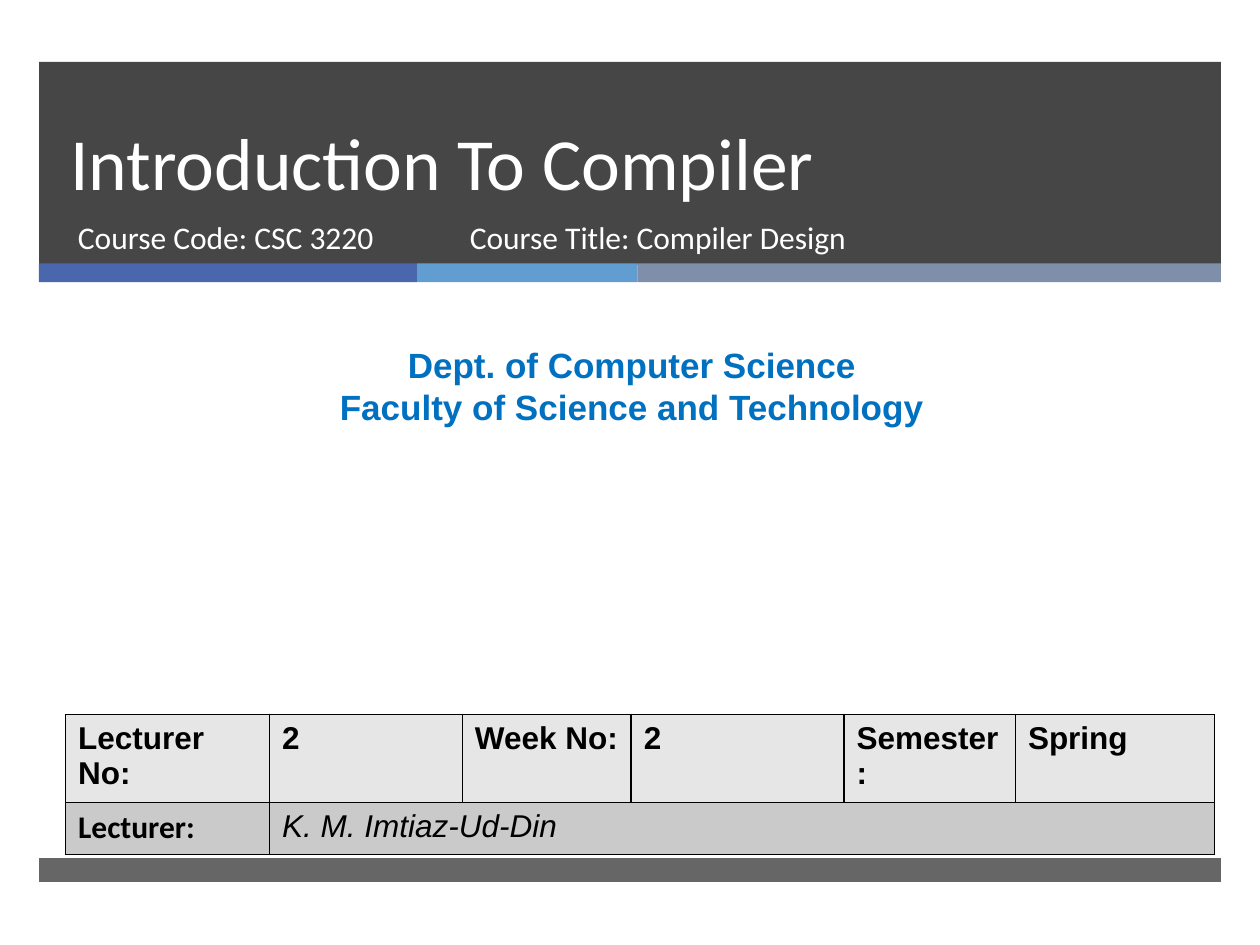
import pptx
import pptx.util
import pptx.dml.color
import pptx.enum.shapes
import pptx.enum.text
import pptx.oxml
import pptx.oxml.ns
import lxml.etree

Inches = pptx.util.Inches
Pt = pptx.util.Pt
ANCHOR = pptx.enum.text.MSO_ANCHOR
ALIGN = pptx.enum.text.PP_ALIGN

COLORS = {
    "dark": "262626", "blue": "4A66AC", "sky": "629DD1", "slate": "7F8FA9",
    "white": "FFFFFF", "heading": "0070C0", "black": "000000",
    "first_row": "E6E6E6", "second_row": "CACACA",
}
BAND_LEFT, BAND_WIDTH = 0.31, 9.38
BANDS = [(0.49, 1.61, 85), (6.81, 0.19, 70)]
STRIPES = [(3, "blue"), (1.75, "sky"), (4.63, "slate")]
TEXTS = [
    (["Introduction To Compiler"], (0.46, 0.49, 8.54, 1.19),
     dict(size=42, font="Calibri", color="white"),
     dict(anchor=ANCHOR.BOTTOM, spacing=1.1)),
    (["Course Code: CSC 3220"], (0.52, 1.68, 3.05, 0.53),
     dict(size=18, font="Calibri", color="white"), {}),
    (["Dept. of Computer Science", "Faculty of Science and Technology"],
     (0.08, 2.68, 9.87, 0.77),
     dict(size=20, font="Arial", color="heading", bold=True),
     dict(align=ALIGN.CENTER)),
    (["Course Title: Compiler Design"], (3.63, 1.68, 4.55, 0.53),
     dict(size=18, font="Calibri", color="white"), {}),
]
COLUMN_WIDTHS = [1.62, 1.53, 1.34, 1.69, 1.36, 1.58]
ROW_HEIGHTS = [0.7, 0.41]
LABEL = dict(font="Arial", bold=True)
TABLE_ROWS = [
    ("first_row", [(text, LABEL) for text in
                   ("Lecturer No:", "2", "Week No:", "2", "Semester:", "Spring")]),
    ("second_row", [("Lecturer:", dict(font="Calibri", bold=True)),
                    ("K. M. Imtiaz-Ud-Din", dict(font="Arial", italic=True))]),
]


def rgb(name):
    return pptx.dml.color.RGBColor.from_string(COLORS[name])


def style_runs(paragraph, font, size=18, color="black", bold=False, italic=False):
    for run in paragraph.runs:
        run.font.name = font
        run.font.size = Pt(size)
        run.font.color.rgb = rgb(color)
        run.font.bold = bold
        run.font.italic = italic


def add_bar(slide, left, top, width, height, color, opacity=100):
    shape = slide.shapes.add_shape(
        pptx.enum.shapes.MSO_SHAPE.RECTANGLE,
        Inches(left), Inches(top), Inches(width), Inches(height))
    shape.shadow.inherit = False
    shape.line.fill.background()
    shape.fill.solid()
    shape.fill.fore_color.rgb = rgb(color)
    if opacity < 100:
        color_element = shape.fill._xPr.find(".//" + pptx.oxml.ns.qn("a:srgbClr"))
        alpha = lxml.etree.SubElement(color_element, pptx.oxml.ns.qn("a:alpha"))
        alpha.set("val", str(opacity * 1000))


def add_text(slide, lines, box, style, anchor=ANCHOR.TOP, align=ALIGN.LEFT, spacing=None):
    text_frame = slide.shapes.add_textbox(*map(Inches, box)).text_frame
    text_frame.word_wrap = True
    text_frame.vertical_anchor = anchor
    text_frame.text = "\n".join(lines)
    for paragraph in text_frame.paragraphs:
        paragraph.alignment = align
        paragraph.line_spacing = spacing
        style_runs(paragraph, **style)


def set_borders(cell):
    properties = cell._tc.get_or_add_tcPr()
    for index, side in enumerate(("lnL", "lnR", "lnT", "lnB")):
        border = pptx.oxml.parse_xml(
            f'<a:{side} {pptx.oxml.ns.nsdecls("a")} w="12700"><a:solidFill>'
            f'<a:srgbClr val="{COLORS["black"]}"/></a:solidFill></a:{side}>')
        properties.insert(index, border)


def add_course_table(slide):
    table = slide.shapes.add_table(
        len(ROW_HEIGHTS), len(COLUMN_WIDTHS), Inches(0.52), Inches(5.67),
        Inches(sum(COLUMN_WIDTHS)), Inches(sum(ROW_HEIGHTS))).table
    for column, width in zip(table.columns, COLUMN_WIDTHS):
        column.width = Inches(width)
    for row, height in zip(table.rows, ROW_HEIGHTS):
        row.height = Inches(height)
    table.cell(1, 1).merge(table.cell(1, len(COLUMN_WIDTHS) - 1))
    for row, (fill, entries) in zip(table.rows, TABLE_ROWS):
        for cell in row.cells:
            cell.fill.solid()
            cell.fill.fore_color.rgb = rgb(fill)
            set_borders(cell)
        for cell, (text, style) in zip(row.cells, entries):
            cell.text_frame.text = text
            style_runs(cell.text_frame.paragraphs[0], **style)


def main():
    presentation = pptx.Presentation()
    presentation.slide_width, presentation.slide_height = Inches(10), Inches(7.5)
    slide = presentation.slides.add_slide(presentation.slide_layouts[6])
    for top, height, opacity in BANDS:
        add_bar(slide, BAND_LEFT, top, BAND_WIDTH, height, "dark", opacity)
    left = BAND_LEFT
    for width, color in STRIPES:
        add_bar(slide, left, 2.09, width, 0.15, color)
        left += width
    for lines, box, style, layout in TEXTS:
        add_text(slide, lines, box, style, **layout)
    add_course_table(slide)
    presentation.save("out.pptx")


if __name__ == "__main__":
    main()
